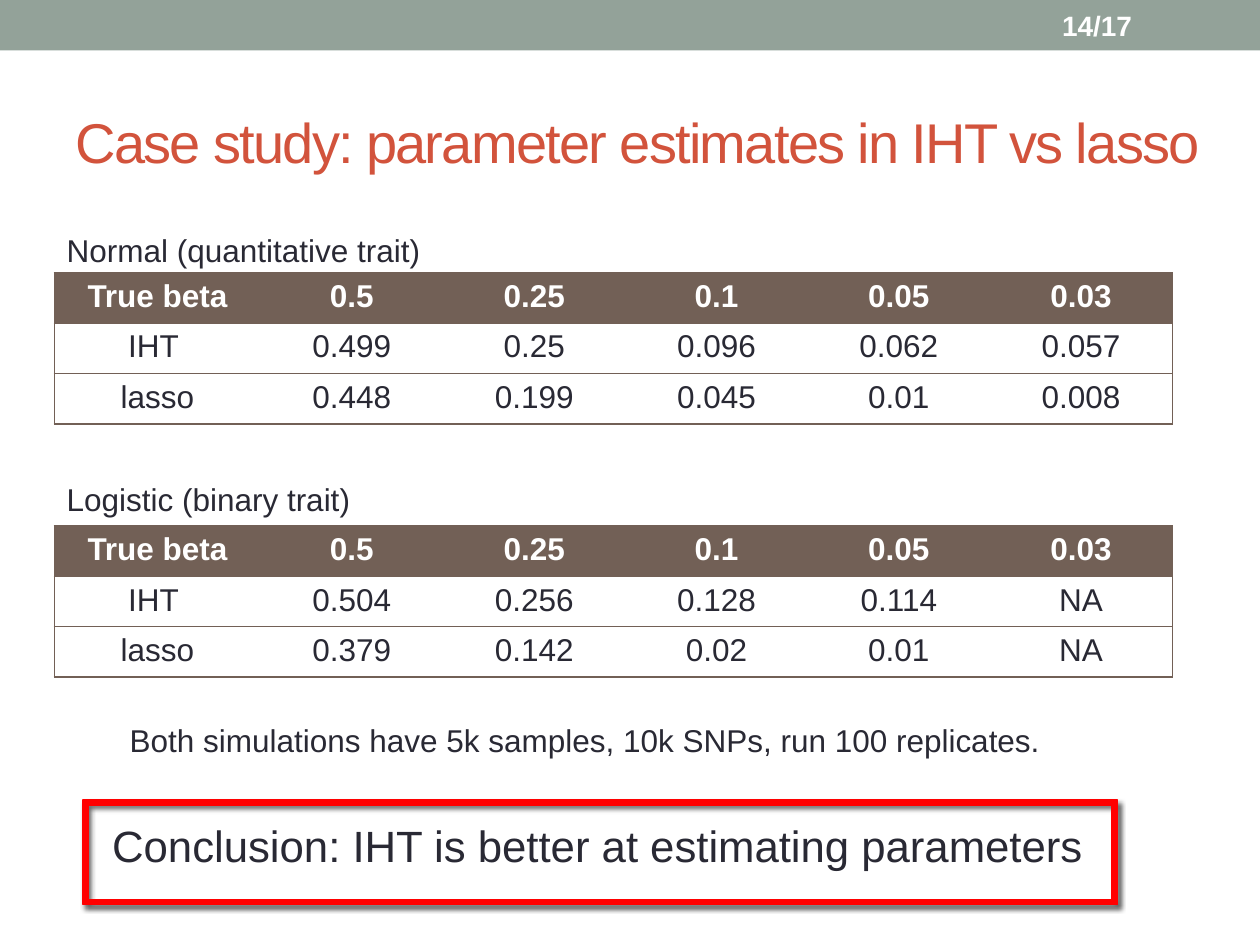
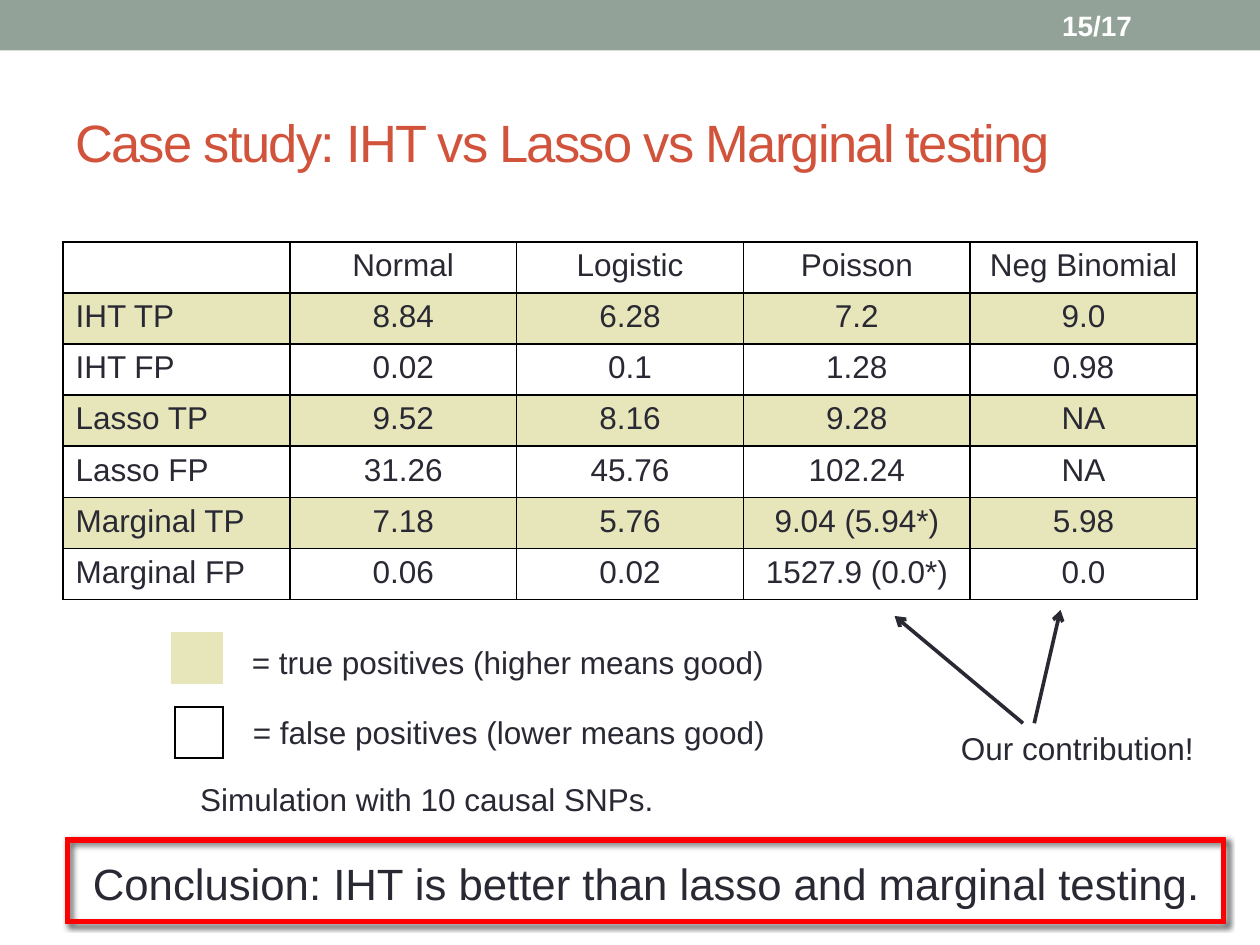
from lxml.etree import SubElement
from pptx import Presentation
from pptx.dml.color import RGBColor
from pptx.enum.shapes import MSO_CONNECTOR, MSO_SHAPE
from pptx.enum.text import MSO_ANCHOR, PP_ALIGN
from pptx.oxml import parse_xml
from pptx.oxml.ns import nsdecls, qn
from pptx.util import Pt

COLORS = {
    "band": "93A299",
    "title": "D2533C",
    "text": "292934",
    "white": "FFFFFF",
    "header": "726056",
    "highlight": "E7E5BA",
    "grid": "000000",
    "frame": "FF0000",
}
PALETTE = {name: RGBColor.from_string(value) for name, value in COLORS.items()}
NO_STYLE = "{2D5ABB26-0587-4C30-8999-92F81FD0307C}"
SHADOW = (
    f'<a:outerShdw {nsdecls("a")} blurRad="38100" dist="25400" dir="2700000" rotWithShape="0">'
    '<a:srgbClr val="000000"><a:alpha val="60000"/></a:srgbClr></a:outerShdw>'
)


def add_text(page, words, left, top, width, height=29, size=18, color="text", bold=False, anchor=MSO_ANCHOR.TOP):
    box = page.shapes.add_textbox(Pt(left), Pt(top), Pt(width), Pt(height))
    box.text_frame.word_wrap = True
    box.text_frame.vertical_anchor = anchor
    paragraph = box.text_frame.paragraphs[0]
    paragraph.text = words
    paragraph.font.name = "Arial"
    paragraph.font.size = Pt(size)
    paragraph.font.bold = bold
    paragraph.font.color.rgb = PALETTE[color]
    return paragraph


def add_grid(page, rows, left, top, widths, row_height, fills, line=None, line_width=1.0, inner_columns=True, header=False, left_labels=False):
    frame = page.shapes.add_table(len(rows), len(widths), Pt(left), Pt(top), Pt(sum(widths)), Pt(row_height * len(rows)))
    table = frame.table
    table.first_row = header
    table.horz_banding = False
    table._tbl.tblPr.find(qn("a:tableStyleId")).text = NO_STYLE
    for column, width in zip(table.columns, widths):
        column.width = Pt(width)
    for row_index, values in enumerate(rows):
        table.rows[row_index].height = Pt(row_height)
        for column_index, value in enumerate(values):
            cell = table.cell(row_index, column_index)
            paragraph = cell.text_frame.paragraphs[0]
            if value:
                paragraph.text = value
            is_label = left_labels and column_index == 0
            is_header = header and row_index == 0
            paragraph.alignment = PP_ALIGN.LEFT if is_label else PP_ALIGN.CENTER
            paragraph.font.name = "Arial"
            paragraph.font.size = Pt(18)
            paragraph.font.bold = is_header
            paragraph.font.color.rgb = PALETTE["white" if is_header else "text"]
            if fills[row_index]:
                cell.fill.solid()
                cell.fill.fore_color.rgb = PALETTE[fills[row_index]]
            else:
                cell.fill.background()
            visible = {
                "lnL": inner_columns or column_index == 0,
                "lnR": inner_columns or column_index == len(widths) - 1,
                "lnT": True,
                "lnB": True,
            }
            for position, (side, shown) in enumerate(visible.items()):
                paint = "<a:noFill/>"
                if line and shown:
                    paint = f'<a:solidFill><a:srgbClr val="{COLORS[line]}"/></a:solidFill>'
                border = parse_xml(f'<a:{side} {nsdecls("a")} w="{Pt(line_width)}">{paint}</a:{side}>')
                cell._tc.get_or_add_tcPr().insert(position, border)


deck = Presentation()
deck.slide_width = Pt(720)
deck.slide_height = Pt(540)

slides = [
    {
        "title": ("Case study: parameter estimates in IHT vs lasso", 32, 668),
        "number": "14/17",
        "conclusion": ("Conclusion: IHT is better at estimating parameters", 57, 464.4, 580),
        "frame": (47.5, 457.2, 591, 59.8),
    },
    {
        "title": ("Case study: IHT vs Lasso vs Marginal testing", 30, 684),
        "number": "15/17",
        "conclusion": ("Conclusion: IHT is better than lasso and marginal testing.", 46, 486, 660),
        "frame": (37.4, 478.8, 663, 49),
    },
]
pages = []
for content in slides:
    page = deck.slides.add_slide(deck.slide_layouts[6])
    pages.append(page)
    band = page.shapes.add_shape(MSO_SHAPE.RECTANGLE, 0, 0, deck.slide_width, Pt(28.8))
    band.shadow.inherit = False
    band.fill.solid()
    band.fill.fore_color.rgb = PALETTE["band"]
    band.line.fill.background()

    words, size, width = content["title"]
    title = add_text(page, words, 36, 41.8, width, 77.8, size, "title", anchor=MSO_ANCHOR.MIDDLE)
    title.runs[0]._r.get_or_add_rPr().set("spc", "-100")
    add_text(page, content["number"], 599.8, 1.4, 84, 26, 16, "white", True, MSO_ANCHOR.MIDDLE)

    words, left, top, width = content["conclusion"]
    add_text(page, words, left, top, width, 37.4, 25)
    frame = page.shapes.add_shape(MSO_SHAPE.FRAME, *[Pt(length) for length in content["frame"]])
    frame.adjustments[0] = 0.05
    frame.fill.solid()
    frame.fill.fore_color.rgb = PALETTE["frame"]
    frame.line.color.rgb = PALETTE["frame"]
    frame.line.width = Pt(0.75)
    frame.shadow.inherit = False
    frame._element.spPr.find(qn("a:effectLst")).append(parse_xml(SHADOW))

estimates_page, testing_page = pages

true_betas = ["True beta", "0.5", "0.25", "0.1", "0.05", "0.03"]
traits = [
    ("Normal (quantitative trait)", 128.2, 155.8, [
        ["IHT ", "0.499", "0.25", "0.096", "0.062", "0.057"],
        ["lasso", "0.448", "0.199", "0.045", "0.01", "0.008"],
    ]),
    ("Logistic (binary trait)", 270.7, 300.4, [
        ["IHT ", "0.504", "0.256", "0.128", "0.114", "NA"],
        ["lasso", "0.379", "0.142", "0.02", "0.01", "NA"],
    ]),
]
for caption, caption_top, table_top, estimates in traits:
    add_text(estimates_page, caption, 31, caption_top, 230)
    add_grid(estimates_page, [true_betas] + estimates, 31, table_top, [118] + [104.2] * 5, 27.3,
             ["header", None, None], "header", 0.75, inner_columns=False, header=True)
add_text(estimates_page, "Both simulations have 5k samples, 10k SNPs, run 100 replicates.", 67, 408.2, 545)

results = [
    ["", "Normal", "Logistic", "Poisson", "Neg Binomial"],
    ["IHT TP", "8.84", "6.28", "7.2", "9.0"],
    ["IHT FP", "0.02", "0.1", "1.28", "0.98"],
    ["Lasso TP", "9.52", "8.16", "9.28", "NA"],
    ["Lasso FP", "31.26", "45.76", "102.24", "NA"],
    ["Marginal TP", "7.18", "5.76", "9.04 (5.94*)", "5.98"],
    ["Marginal FP", "0.06", "0.02", "1527.9 (0.0*)", "0.0"],
]
add_grid(testing_page, results, 36, 138.2, [129.6] * 5, 29.2, [None, "highlight"] * 3 + [None], "grid", left_labels=True)

legend = [
    ("= true positives (higher means good)", 136.8, 363.6, 97.6, 361.4, 29.8, "highlight", None),
    ("= false positives (lower means good)", 137.4, 403.9, 100.1, 403.9, 27.4, None, "grid"),
]
for words, text_left, text_top, key_left, key_top, key_width, fill, line in legend:
    add_text(testing_page, words, text_left, text_top, 320)
    add_grid(testing_page, [[""]], key_left, key_top, [key_width], 29.2, [fill], line)

add_text(testing_page, "Simulation with 10 causal SNPs.", 107.3, 442, 285)
add_text(testing_page, "Our contribution!", 542, 413.3, 156)
for start_left, end_left, end_top in [(591, 606, 348.5), (584.6, 511.2, 352)]:
    arrow = testing_page.shapes.add_connector(MSO_CONNECTOR.STRAIGHT, Pt(start_left), Pt(413.3), Pt(end_left), Pt(end_top))
    arrow.line.color.rgb = PALETTE["text"]
    arrow.line.width = Pt(2.08)
    SubElement(arrow.line._get_or_add_ln(), qn("a:tailEnd"), type="arrow")
    SubElement(arrow._element.spPr, qn("a:effectLst"))

deck.save("out.pptx")
